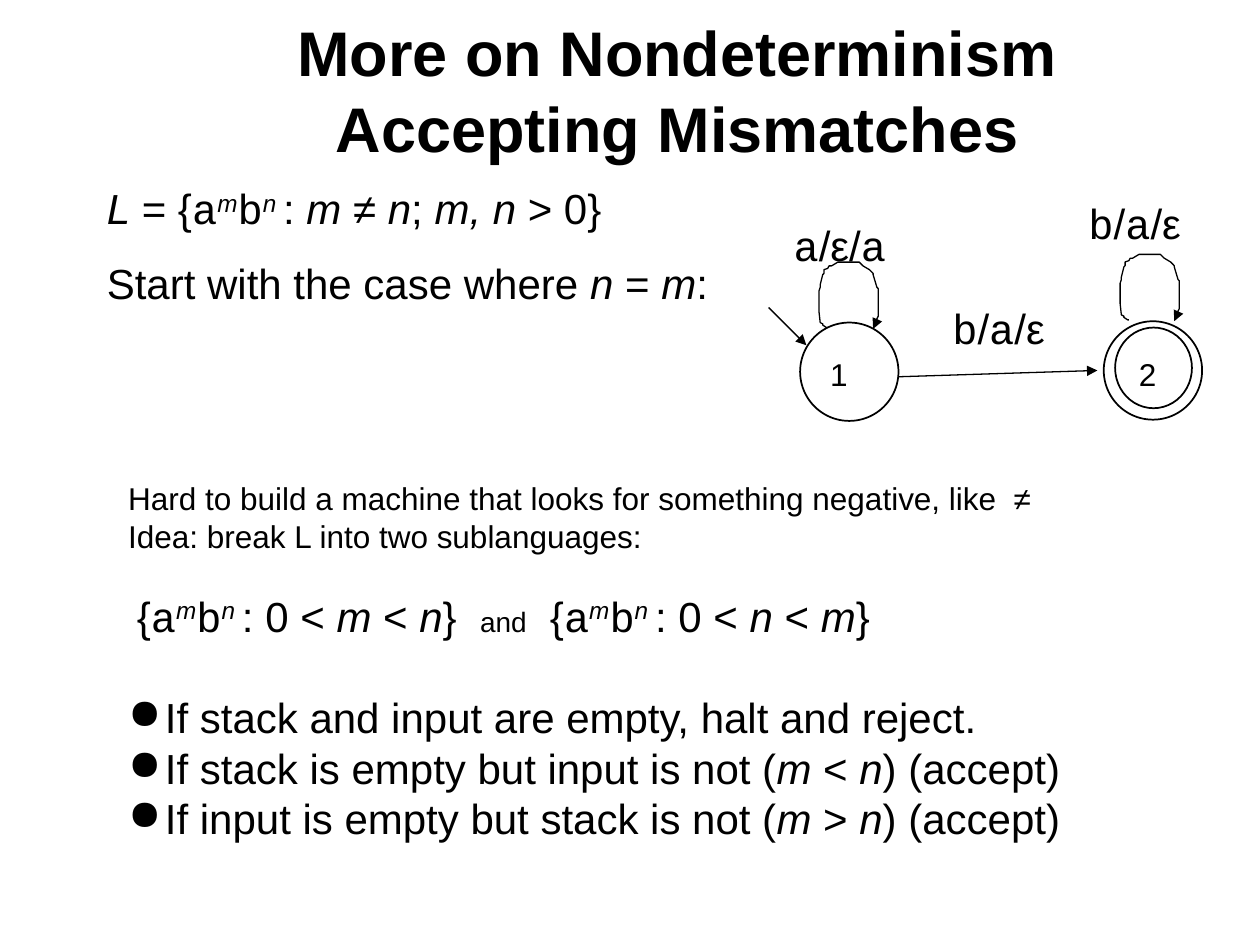
from lxml import etree
from pptx import Presentation
from pptx.dml.color import RGBColor
from pptx.enum.shapes import MSO_CONNECTOR, MSO_SHAPE
from pptx.enum.text import MSO_ANCHOR, PP_ALIGN
from pptx.oxml.ns import qn
from pptx.util import Pt

STRAIGHT = MSO_CONNECTOR.STRAIGHT
OVAL = MSO_SHAPE.OVAL
MIDDLE, TOP = MSO_ANCHOR.MIDDLE, MSO_ANCHOR.TOP
CENTER, LEFT = PP_ALIGN.CENTER, PP_ALIGN.LEFT

COLORS = {"ink": "000000"}
BODY_FONT, CODE_FONT = "Arial", "Courier New"

# Self-loop outline in hundredths of an inch, from its top left corner
LOOP = [
    (7, 52), (6, 52), (3, 50), (3, 49), (1, 48), (0, 39), (0, 23), (1, 20),
    (1, 18), (3, 10), (4, 9), (4, 6), (7, 5), (8, 3), (10, 3), (15, 0),
    (32, 0), (35, 3), (40, 6), (43, 9), (43, 10), (46, 20), (47, 21),
    (47, 43), (46, 45), (46, 48), (44, 49), (44, 50), (43, 52), (43, 53),
]
LOOP_UNIT = Pt(0.72)


# Kinds of text run: each is a list of (text, style) pairs
def plain(text, **style):
    return [(text, style)]


def italic(text):
    return plain(text, italic=True)


def code(text):
    return plain(text, font=CODE_FONT)


def raised(text):
    return plain(text, italic=True, raised=True)


def powers():
    return code("a") + raised("m") + code("b") + raised("n ")


def compare(left, sign, right):
    return italic(left) + plain(f" {sign} ") + italic(right)


def sublanguage(low, high):
    return plain("{") + powers() + plain(": 0 < ") + compare(low, "<", high) + plain("}")


def ink():
    return RGBColor.from_string(COLORS["ink"])


def add_text(page, left, top, width, height, paragraphs, size,
             anchor=TOP, align=LEFT, bold=False):
    box = page.shapes.add_textbox(Pt(left), Pt(top), Pt(width), Pt(height))
    frame = box.text_frame
    frame.word_wrap = True
    frame.vertical_anchor = anchor
    for index, runs in enumerate(paragraphs):
        para = frame.paragraphs[0] if index == 0 else frame.add_paragraph()
        para.alignment = align
        for text, style in runs:
            if text == "\n":
                para.add_line_break()
                continue
            span = para.add_run()
            span.text = text
            span.font.name = style.get("font", BODY_FONT)
            span.font.size = Pt(style.get("size", size))
            span.font.bold = bold
            span.font.italic = style.get("italic", False)
            span.font.color.rgb = ink()
            if style.get("raised"):
                span.font._element.set("baseline", "30000")
    return frame.paragraphs


def add_bullet(para, indent):
    props = para._p.get_or_add_pPr()
    props.set("marL", str(Pt(indent)))
    props.set("indent", str(-Pt(indent)))
    etree.SubElement(props, qn("a:buChar")).set("char", "●")


def add_circle(page, left, top, width, height):
    circle = page.shapes.add_shape(OVAL, Pt(left), Pt(top), Pt(width), Pt(height))
    circle.shadow.inherit = False
    circle.fill.background()
    circle.line.color.rgb = ink()
    circle.line.width = Pt(1)


def style_arrow(shape):
    shape.line.color.rgb = ink()
    shape.line.width = Pt(0.75)
    etree.SubElement(shape.line._get_or_add_ln(), qn("a:tailEnd")).set("type", "triangle")


def add_arrow(page, x1, y1, x2, y2):
    arrow = page.shapes.add_connector(STRAIGHT, Pt(x1), Pt(y1), Pt(x2), Pt(y2))
    style_arrow(arrow)
    etree.SubElement(arrow._element.spPr, qn("a:effectLst"))


def add_loop(page, left, top):
    builder = page.shapes.build_freeform(*LOOP[0], scale=LOOP_UNIT)
    builder.add_line_segments(LOOP[1:], close=False)
    loop = builder.convert_to_shape(Pt(left), Pt(top))
    loop.shadow.inherit = False
    loop.fill.background()
    style_arrow(loop)


def add_machine(page):
    # States, the second one accepting
    add_circle(page, 457.2, 184.3, 56.2, 56.2)
    add_circle(page, 630.7, 183.6, 56.2, 56.2)
    add_circle(page, 637.2, 187.2, 43.9, 46.1)
    add_text(page, 467.3, 199.4, 24, 29, [plain("1")], 18)
    add_text(page, 643.7, 199.4, 30, 29, [plain("2")], 18)

    # Transitions
    add_arrow(page, 439.2, 175.7, 460.8, 197.3)
    add_arrow(page, 513.4, 215.3, 627.1, 211.7)
    add_loop(page, 468, 149.8)
    add_loop(page, 640.1, 145.4)

    # Transition labels
    push = plain(" ", size=18) + code("a") + plain("/ε/") + code("a")
    pop = code("b") + plain("/") + code("a") + plain("/ε")
    add_text(page, 441.4, 121.7, 72, 36, [push], 24)
    add_text(page, 537.1, 169.2, 96, 36, [pop], 24)
    add_text(page, 614.9, 109.4, 84, 36, [pop], 24)


def main():
    deck = Presentation()
    deck.slide_width, deck.slide_height = Pt(720), Pt(540)
    page = deck.slides.add_slide(deck.slide_layouts[6])

    # Title
    title = plain("More on Nondeterminism") + plain("\n") + plain("Accepting Mismatches")
    add_text(page, 54, 18, 666, 66, [title], 36, MIDDLE, CENTER, bold=True)

    # Language and starting case
    language = (italic("L") + plain(" = {") + powers() + plain(": ")
                + compare("m", "≠", "n") + plain("; ") + italic("m, n") + plain(" > 0}"))
    start = (plain("Start with the case where ") + compare("n", "=", "m") + plain(":"))
    paras = add_text(page, 54, 100.8, 360, 79, [language, start], 24)
    paras[1].space_before = Pt(13.8)

    add_machine(page)

    # Split into two sublanguages
    idea = [
        plain("Hard to build a machine that looks for something negative, like  ≠"),
        plain("Idea: break L into two sublanguages:"),
        plain(" ", size=18) + sublanguage("m", "n") + plain("  ")
        + plain("and", size=16) + plain("  ") + sublanguage("n", "m"),
    ]
    idea[:2] = [[(text, {"size": 18}) for text, _ in runs] for runs in idea[:2]]
    paras = add_text(page, 66.2, 270, 540, 101, idea, 24)
    paras[2].space_before = Pt(20.7)

    # Outcomes
    outcomes = [plain("If stack and input are empty, halt and reject.")]
    for empty, other, sign in (("stack", "input", "<"), ("input", "stack", ">")):
        outcomes.append(plain(f"If {empty} is empty but {other} is not (")
                        + compare("m", sign, "n") + plain(") (accept)"))
    for para in add_text(page, 66.2, 391.7, 618, 94, outcomes, 24):
        add_bullet(para, 21)

    deck.save("out.pptx")


if __name__ == "__main__":
    main()
